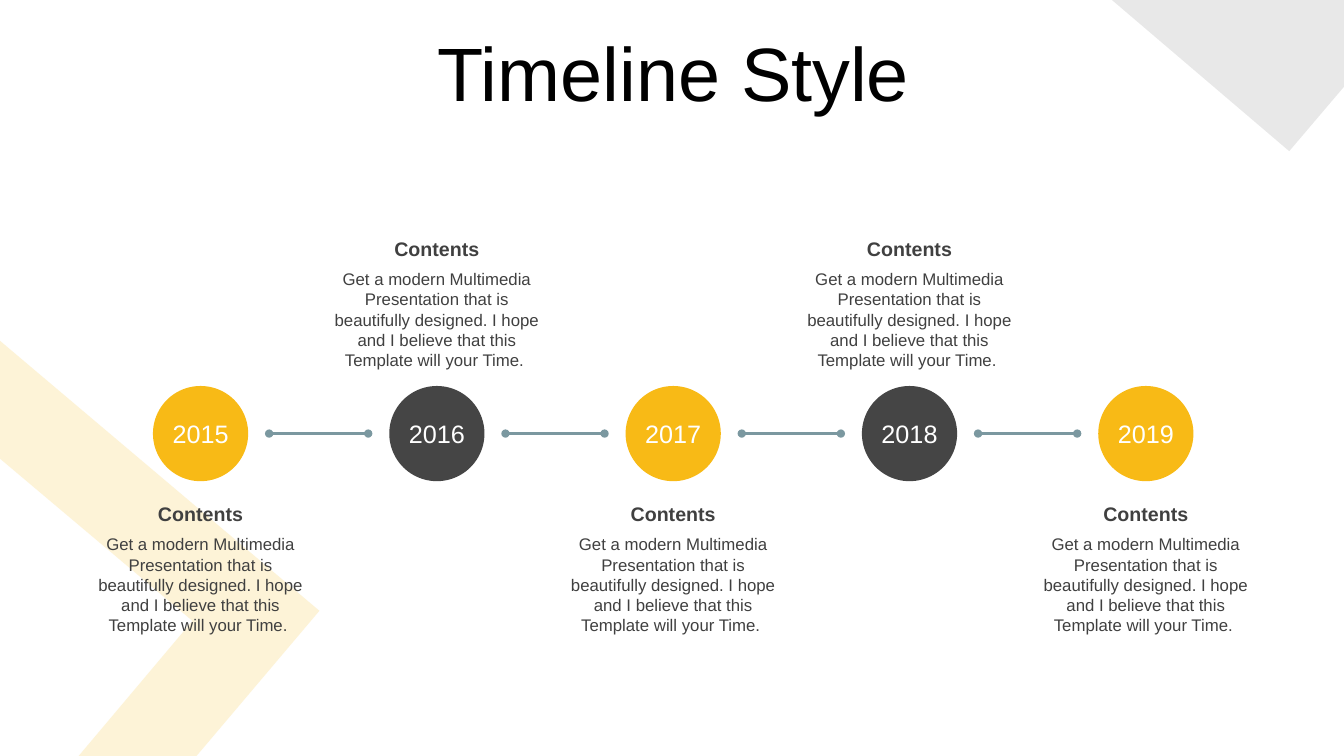
from dataclasses import dataclass
from typing import Any, NamedTuple

from lxml.etree import SubElement
from pptx import Presentation
from pptx.dml.color import RGBColor
from pptx.enum.shapes import MSO_CONNECTOR, MSO_SHAPE
from pptx.enum.text import MSO_ANCHOR, MSO_AUTO_SIZE, PP_ALIGN
from pptx.oxml.ns import qn
from pptx.slide import Slide
from pptx.text.text import TextFrame
from pptx.util import Pt


@dataclass(frozen=True)
class Theme:
    font: str = "Arial"
    yellow: str = "F8BA16"
    charcoal: str = "454545"
    link: str = "7B98A0"
    text: str = "404040"
    title: str = "000000"
    white: str = "FFFFFF"
    title_size: float = 54
    year_size: float = 18
    heading_size: float = 14
    body_size: float = 12


class Box(NamedTuple):
    left: float
    top: float
    width: float
    height: float


class Milestone(NamedTuple):
    year: str
    above: bool


class Decoration(NamedTuple):
    points: list[tuple[float, float]]
    color: str
    opacity: int  # percent


THEME = Theme()
HEADING = "Contents"
BODY = ("Get a modern Multimedia Presentation that is beautifully designed. "
        "I hope and I believe that this Template will your Time. ")
MILESTONES = [Milestone(str(2015 + index), index % 2 == 1) for index in range(5)]
DECORATIONS = [
    Decoration([(0, 243.4), (228.2, 436.3), (140.4, 540), (56.2, 540),
                (137.5, 443.5), (0, 327.6)], THEME.yellow, 17),
    Decoration([(794.2, 0), (960, 0), (960, 62), (920.9, 108)], THEME.charcoal, 12),
]

# Timeline geometry, in points
FIRST_CENTER, PITCH, AXIS = 143.25, 168.8, 309.7
DIAMETER, LINK_OFFSET = 68, 49
CAPTION_WIDTH, HEADING_HEIGHT, BODY_HEIGHT = 171, 24.5, 80
CAPTION_ABOVE, CAPTION_BELOW, BODY_DROP = 165.6, 355, 23


def set_attributes(target: Any, values: dict[str, Any]) -> None:
    for name, value in values.items():
        setattr(target, name, value)


def lengths(box: Box) -> list[Pt]:
    return [Pt(value) for value in box]


def write(frame: TextFrame, text: str, size: float, color: str, bold: bool = False,
          side: float = 7.2, edge: float = 3.6, **frame_format: Any) -> None:
    set_attributes(frame, {
        "word_wrap": True, "margin_left": Pt(side), "margin_right": Pt(side),
        "margin_top": Pt(edge), "margin_bottom": Pt(edge), **frame_format})
    paragraph = frame.paragraphs[0]
    paragraph.text = text
    set_attributes(paragraph, {"alignment": PP_ALIGN.CENTER, "space_before": Pt(0)})
    font = paragraph.runs[0].font
    set_attributes(font, {"name": THEME.font, "size": Pt(size), "bold": bold})
    font.color.rgb = RGBColor.from_string(color)


def paint(shape: Any, color: str) -> None:
    shape.shadow.inherit = False
    shape.fill.solid()
    shape.fill.fore_color.rgb = RGBColor.from_string(color)
    shape.line.fill.background()


def add_decoration(slide: Slide, decoration: Decoration) -> None:
    start, *rest = [(Pt(x), Pt(y)) for x, y in decoration.points]
    builder = slide.shapes.build_freeform(*start)
    builder.add_line_segments(rest, close=True)
    shape = builder.convert_to_shape()
    paint(shape, decoration.color)
    color = shape._element.spPr.find(qn("a:solidFill"))[0]
    SubElement(color, qn("a:alpha"), val=str(decoration.opacity * 1000))


def add_title(slide: Slide, text: str) -> None:
    title = slide.shapes.title
    box = lengths(Box(25.2, 26.6, 911.5, 56.9))
    set_attributes(title, dict(zip(Box._fields, box)))
    write(title.text_frame, text, THEME.title_size, THEME.title,
          vertical_anchor=MSO_ANCHOR.MIDDLE, auto_size=MSO_AUTO_SIZE.NONE)
    title.text_frame.paragraphs[0].line_spacing = 0.9


def add_link(slide: Slide, start: float, end: float) -> None:
    connector = slide.shapes.add_connector(
        MSO_CONNECTOR.STRAIGHT, Pt(start), Pt(AXIS), Pt(end), Pt(AXIS))
    connector.line.width = Pt(1.75)
    connector.line.color.rgb = RGBColor.from_string(THEME.link)
    properties = connector._element.spPr
    for tag in ("a:headEnd", "a:tailEnd"):
        SubElement(properties.find(qn("a:ln")), qn(tag), type="oval")
    SubElement(properties, qn("a:effectLst"))


def add_caption(slide: Slide, center: float, top: float) -> None:
    left = center - CAPTION_WIDTH / 2
    body = slide.shapes.add_textbox(
        *lengths(Box(left, top + BODY_DROP, CAPTION_WIDTH, BODY_HEIGHT)))
    write(body.text_frame, BODY, THEME.body_size, THEME.text,
          auto_size=MSO_AUTO_SIZE.SHAPE_TO_FIT_TEXT)
    heading = slide.shapes.add_textbox(
        *lengths(Box(left, top, CAPTION_WIDTH, HEADING_HEIGHT)))
    write(heading.text_frame, HEADING, THEME.heading_size, THEME.text, bold=True,
          side=8.6, auto_size=MSO_AUTO_SIZE.SHAPE_TO_FIT_TEXT)


def add_milestone(slide: Slide, milestone: Milestone, center: float) -> None:
    circle = slide.shapes.add_shape(MSO_SHAPE.OVAL, *lengths(
        Box(center - DIAMETER / 2, AXIS - DIAMETER / 2, DIAMETER, DIAMETER)))
    paint(circle, THEME.charcoal if milestone.above else THEME.yellow)
    write(circle.text_frame, milestone.year, THEME.year_size, THEME.white,
          side=0, edge=0, vertical_anchor=MSO_ANCHOR.MIDDLE)
    add_caption(slide, center, CAPTION_ABOVE if milestone.above else CAPTION_BELOW)


def main() -> None:
    presentation = Presentation()
    set_attributes(presentation, {"slide_width": Pt(960), "slide_height": Pt(540)})
    slide = presentation.slides.add_slide(presentation.slide_layouts[5])

    # Background decorations and title
    for decoration in DECORATIONS:
        add_decoration(slide, decoration)
    add_title(slide, "Timeline Style")

    # Links between neighbouring years
    centers = [FIRST_CENTER + PITCH * index for index in range(len(MILESTONES))]
    for center, following in zip(centers, centers[1:]):
        add_link(slide, center + LINK_OFFSET, following - LINK_OFFSET)

    # Years with captions alternating below and above
    for milestone, center in zip(MILESTONES, centers):
        add_milestone(slide, milestone, center)

    presentation.save("out.pptx")


if __name__ == "__main__":
    main()
